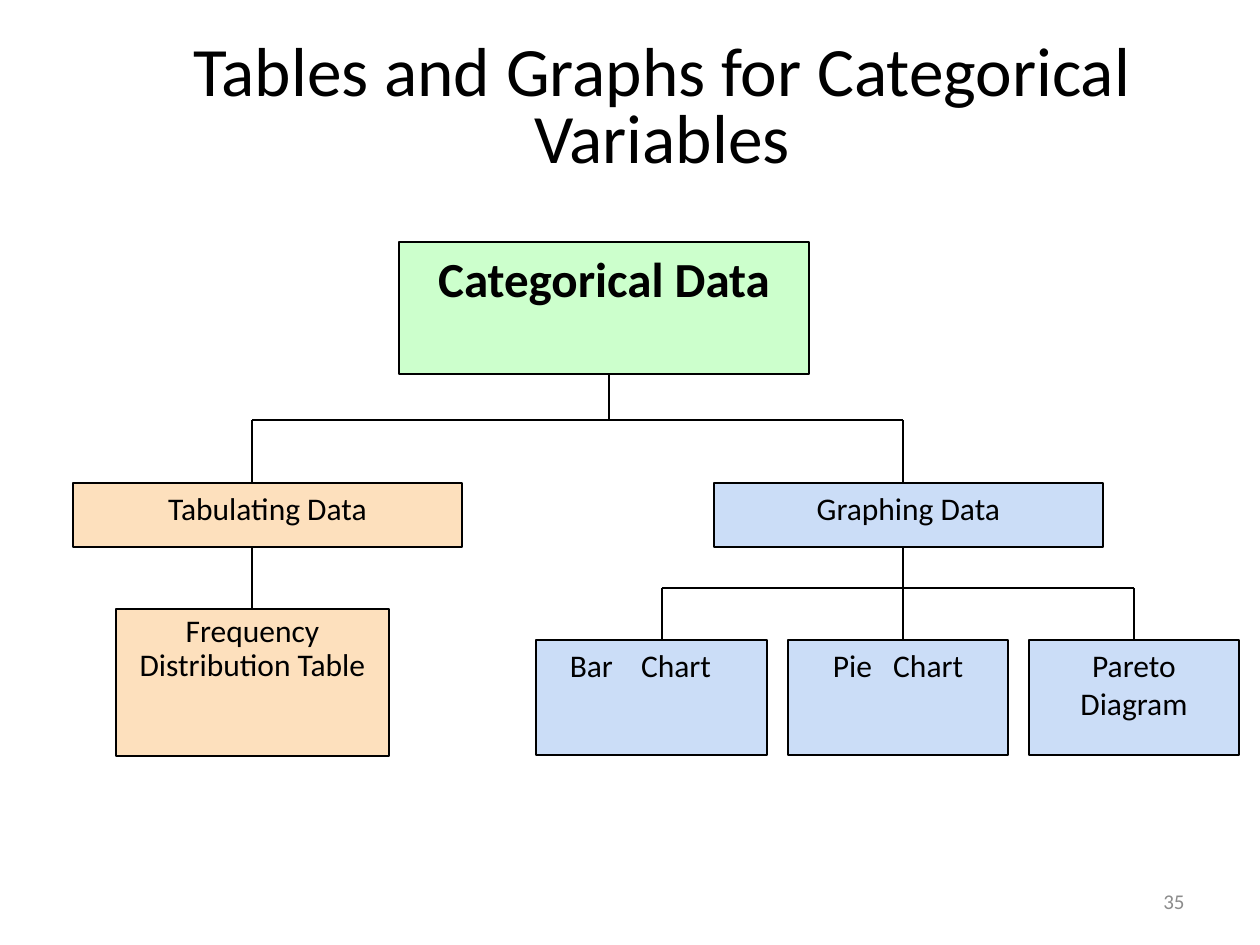
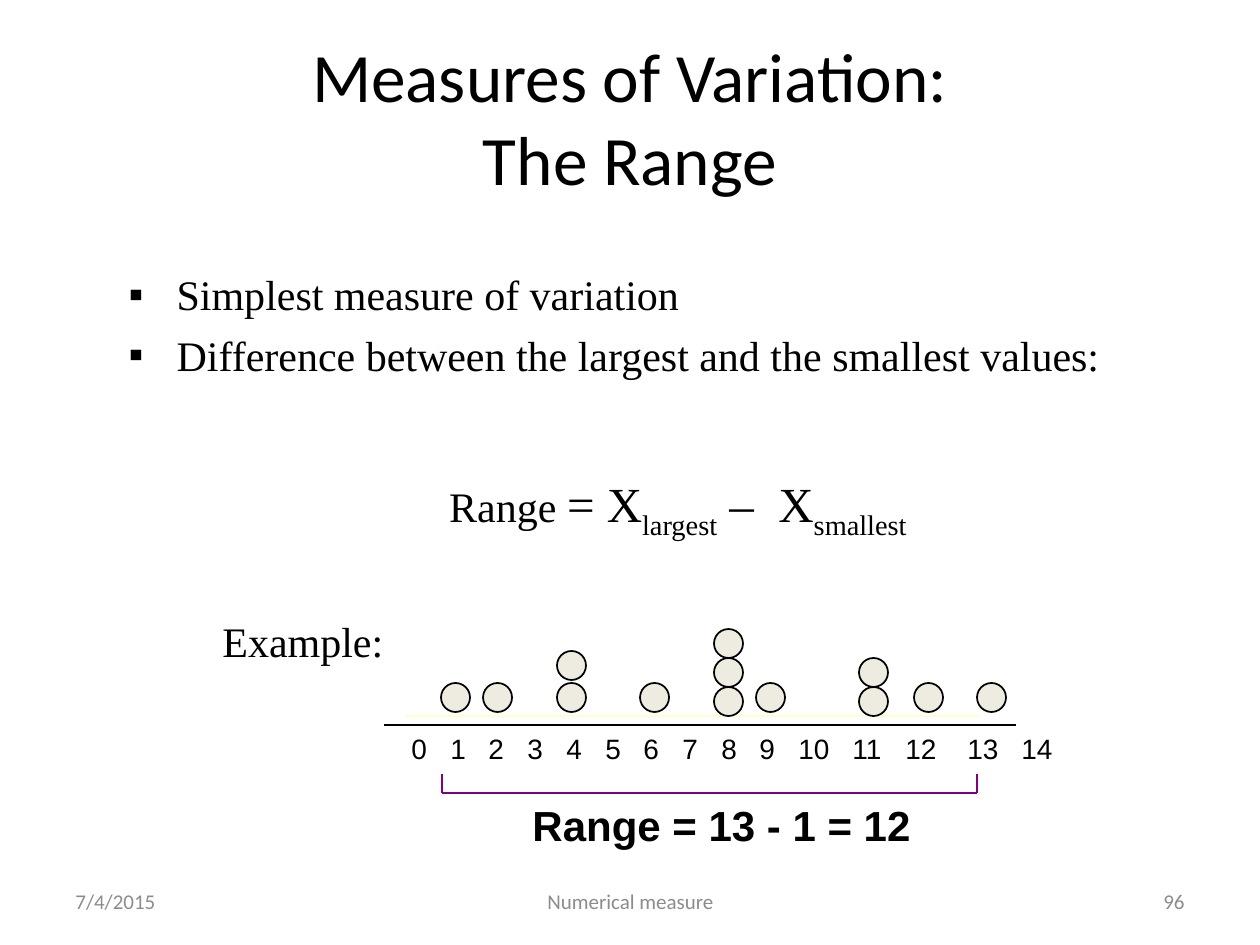
from dataclasses import dataclass

from lxml.etree import SubElement
from pptx import Presentation
from pptx.dml.color import RGBColor
from pptx.enum.shapes import MSO_CONNECTOR, MSO_SHAPE
from pptx.enum.text import MSO_ANCHOR, MSO_AUTO_SIZE, PP_ALIGN
from pptx.oxml.ns import qn
from pptx.util import Emu, Pt

EMU_PER_PIXEL = 914400 / 126
TITLE_ONLY, TITLE_AND_BODY = 5, 1
BLACK, GRAY, PURPLE, PALE_YELLOW = "000000", "8C8C8C", "800080", "FFFFCC"
GREEN, BLUE, ORANGE, IVORY = "CCFFCC", "CBDDF7", "FDE0BD", "EEECE1"
SANS, SERIF, LABEL = "Calibri", "Times New Roman", "Arial"
LEFT, CENTER, RIGHT = PP_ALIGN.LEFT, PP_ALIGN.CENTER, PP_ALIGN.RIGHT


def px(length):
    return Emu(round(length * EMU_PER_PIXEL))


def color(value):
    return RGBColor.from_string(value)


@dataclass
class TextRun:
    text: str
    size: float = 18
    font: str = SANS
    bold: bool = False
    ink: str = BLACK
    baseline: int = 0
    spacing: int = 0


class Deck:
    """Holds the shared style and the slide being built."""

    def __init__(self):
        self.presentation = Presentation()
        self.presentation.slide_width = px(1260)
        self.presentation.slide_height = px(945)
        self.slide = None

    def start_slide(self, layout, title_lines, area, line_spacing=1.0):
        layouts = self.presentation.slide_layouts
        self.slide = self.presentation.slides.add_slide(layouts[layout])
        title = self.slide.shapes.title
        self.place(title, area)
        title.text_frame.vertical_anchor = MSO_ANCHOR.MIDDLE
        paragraph = title.text_frame.paragraphs[0]
        paragraph.line_spacing = line_spacing
        for index, line in enumerate(title_lines):
            if index:
                paragraph.add_line_break()
            self.add_runs(paragraph, [TextRun(line, 39.6)], CENTER)

    def place(self, shape, area):
        shape.left, shape.top, shape.width, shape.height = map(px, area)
        shape.text_frame.word_wrap = True
        shape.text_frame.auto_size = MSO_AUTO_SIZE.NONE

    def add_runs(self, paragraph, text_runs, align=LEFT):
        paragraph.alignment = align
        for text_run in text_runs:
            run = paragraph.add_run()
            run.text = text_run.text
            run.font.size = Pt(text_run.size)
            run.font.name = text_run.font
            run.font.bold = text_run.bold
            run.font.color.rgb = color(text_run.ink)
            properties = run._r.get_or_add_rPr()
            if text_run.baseline:
                properties.set("baseline", str(text_run.baseline * 1000))
            if text_run.spacing:
                properties.set("spc", str(text_run.spacing * 100))

    def bullets(self, area, lines):
        body = self.slide.placeholders[1]
        self.place(body, area)
        frame = body.text_frame
        for index, line in enumerate(lines):
            paragraph = frame.add_paragraph() if index else frame.paragraphs[0]
            paragraph.space_before = Pt(6 if index else 0)
            properties = paragraph._p.get_or_add_pPr()
            properties.set("marL", str(px(48)))
            properties.set("indent", str(px(-48)))
            bullet_color = SubElement(properties, qn("a:buClr"))
            SubElement(bullet_color, qn("a:srgbClr"), val=BLACK)
            SubElement(properties, qn("a:buChar"), char="▪")
            self.add_runs(paragraph, [TextRun(line, 24, SERIF)])

    def text(self, area, text_runs, align=LEFT, anchor=MSO_ANCHOR.TOP, line_spacing=1.0, tabs=()):
        box = self.slide.shapes.add_textbox(*map(px, area))
        self.place(box, area)
        box.text_frame.vertical_anchor = anchor
        paragraph = box.text_frame.paragraphs[0]
        paragraph.line_spacing = line_spacing
        if tabs:
            tab_list = SubElement(paragraph._p.get_or_add_pPr(), qn("a:tabLst"))
            for position in tabs:
                SubElement(tab_list, qn("a:tab"), pos=str(px(position)), algn="l")
        self.add_runs(paragraph, text_runs, align)

    def shape(self, kind, area, fill):
        shape = self.slide.shapes.add_shape(kind, *map(px, area))
        shape.shadow.inherit = False
        shape.fill.solid()
        shape.fill.fore_color.rgb = color(fill)
        shape.line.color.rgb = color(BLACK)
        shape.line.width = Pt(1)
        return shape

    def box(self, area, fill, text_runs, line_spacing=1.0, extra_right=0):
        shape = self.shape(MSO_SHAPE.RECTANGLE, area, fill)
        frame = shape.text_frame
        frame.word_wrap = True
        frame.vertical_anchor = MSO_ANCHOR.TOP
        frame.margin_right += px(extra_right)
        paragraph = frame.paragraphs[0]
        paragraph.line_spacing = line_spacing
        self.add_runs(paragraph, text_runs, CENTER)

    def dot_stack(self, left, bottom, count, step, size=29):
        for level in range(count):
            self.shape(MSO_SHAPE.OVAL, (left, bottom - level * step, size, size), IVORY)

    def line(self, ends, ink=BLACK, width=1.5):
        connector = self.slide.shapes.add_connector(MSO_CONNECTOR.STRAIGHT, *map(px, ends))
        connector.line.color.rgb = color(ink)
        connector.line.width = Pt(width)
        SubElement(connector._element.spPr, qn("a:effectLst"))

    def footer(self, number, date="", caption=""):
        parts = ((63, 294, date, LEFT), (431, 399, caption, CENTER), (903, 294, number, RIGHT))
        for left, width, words, align in parts:
            if words:
                area = (left, 876, width, 50)
                self.text(area, [TextRun(words, 12, ink=GRAY)], align, MSO_ANCHOR.MIDDLE)


def build_categorical_tree(deck):
    deck.start_slide(TITLE_ONLY, ["Tables and Graphs for Categorical Variables"],
                     (179, 42, 966, 136), 0.8)
    root, tabulating, graphing = 609, 252, 903
    bar, pareto = 662, 1134
    upper, lower, leaf_top = 420, 588, 640
    for ends in (
        (root, 374, root, upper),
        (tabulating, upper, graphing, upper),
        (tabulating, upper, tabulating, 609),
        (graphing, upper, graphing, leaf_top),
        (bar, lower, pareto, lower),
        (bar, lower, bar, leaf_top),
        (pareto, lower, pareto, leaf_top),
    ):
        deck.line(ends)
    deck.box((399, 242, 410, 132), GREEN, [TextRun("Categorical Data", 28, bold=True)])
    deck.box((73, 483, 389, 64), ORANGE, [TextRun("Tabulating Data")])
    deck.box((714, 483, 389, 64), BLUE, [TextRun("Graphing Data")])
    deck.box((116, 609, 273, 147), ORANGE, [TextRun("Frequency Distribution Table")], 0.9)
    deck.box((536, leaf_top, 231, 115), BLUE,
             [TextRun("Bar"), TextRun(" ", spacing=12), TextRun("Chart")], extra_right=22)
    deck.box((788, leaf_top, 220, 115), BLUE,
             [TextRun("Pie"), TextRun(" ", spacing=8), TextRun("Chart")])
    deck.box((1029, leaf_top, 210, 115), BLUE, [TextRun("Pareto Diagram")])
    deck.footer("35")


def build_range(deck):
    deck.start_slide(TITLE_AND_BODY, ["Measures of Variation:", "The Range"],
                     (63, 38, 1134, 157))
    deck.bullets((116, 262, 1113, 147), [
        "Simplest measure of variation",
        "Difference between the largest and the smallest values:",
    ])
    deck.text((368, 441, 620, 123), [
        TextRun("Range ", 24, SERIF),
        TextRun("= X", 28, SERIF),
        TextRun("largest", 28, SERIF, baseline=-25),
        TextRun(" –", 28, SERIF),
        TextRun(" ", 28, SERIF, spacing=7),
        TextRun("X", 28, SERIF),
        TextRun("smallest", 28, SERIF, baseline=-25),
    ], CENTER, line_spacing=1.4)
    for start, end in ((406, 833), (814, 979)):
        deck.line((start, 716, end, 716), PALE_YELLOW, 1)
    for left in (441, 483, 640, 756, 914, 977):
        deck.dot_stack(left, 683, 1, 0)
    for left, bottom, count, step in ((557, 683, 2, 32), (714, 687, 3, 29), (859, 687, 2, 29)):
        deck.dot_stack(left, bottom, count, step)
    deck.line((384, 725, 1016, 725))
    tabs = [round(38.7 * value) for value in range(1, 11)] + [441, 494, 556, 610]
    scale_labels = "\t".join(str(value) for value in range(15))
    deck.text((399, 725, 719, 45), [TextRun(scale_labels, 16, LABEL)], tabs=tabs)
    for ends in ((442, 793, 977, 793), (442, 793, 442, 774), (977, 793, 977, 774)):
        deck.line(ends, PURPLE, 0.75)
    deck.text((520, 793, 524, 63), [TextRun("Range = 13 - 1 = 12", 24, LABEL, True)])
    deck.text((210, 609, 210, 63), [TextRun("Example:", 24, SERIF)])
    deck.footer("96", "7/4/2015", "Numerical measure")


def main():
    deck = Deck()
    build_categorical_tree(deck)
    build_range(deck)
    deck.presentation.save("out.pptx")


if __name__ == "__main__":
    main()
